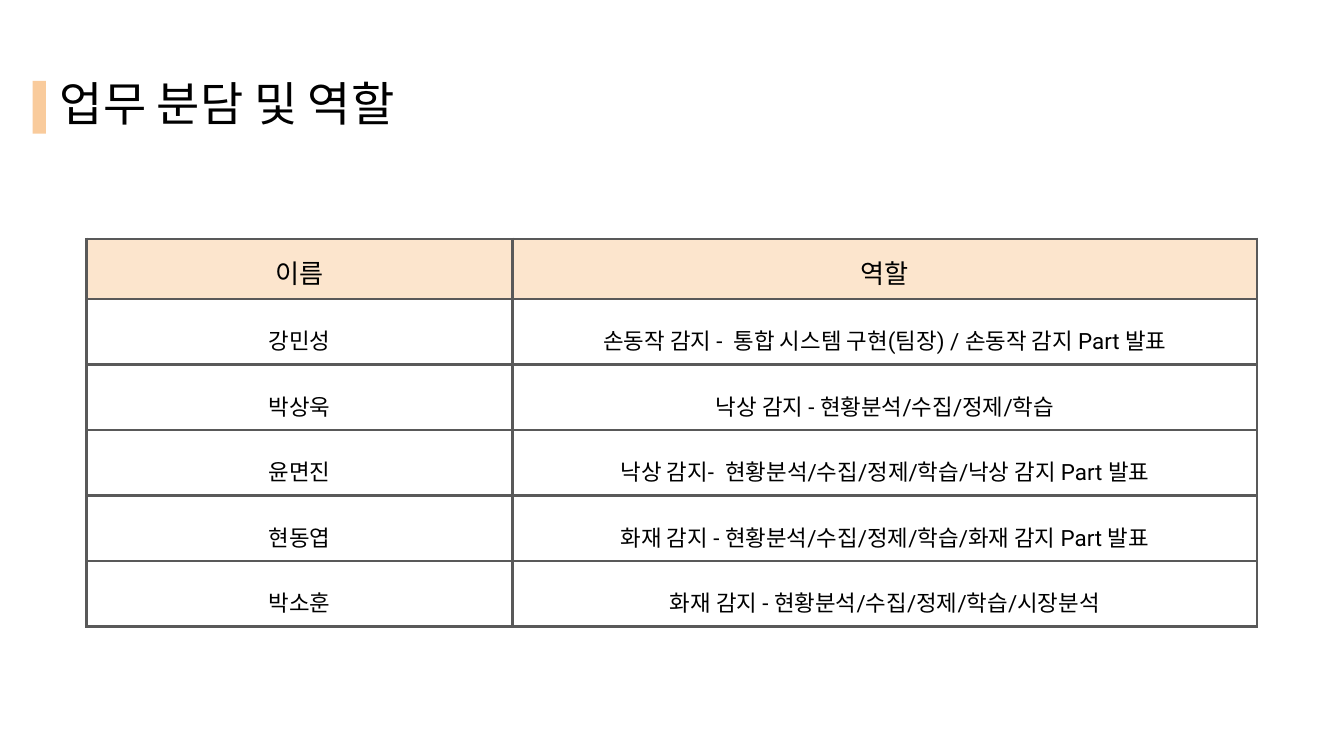
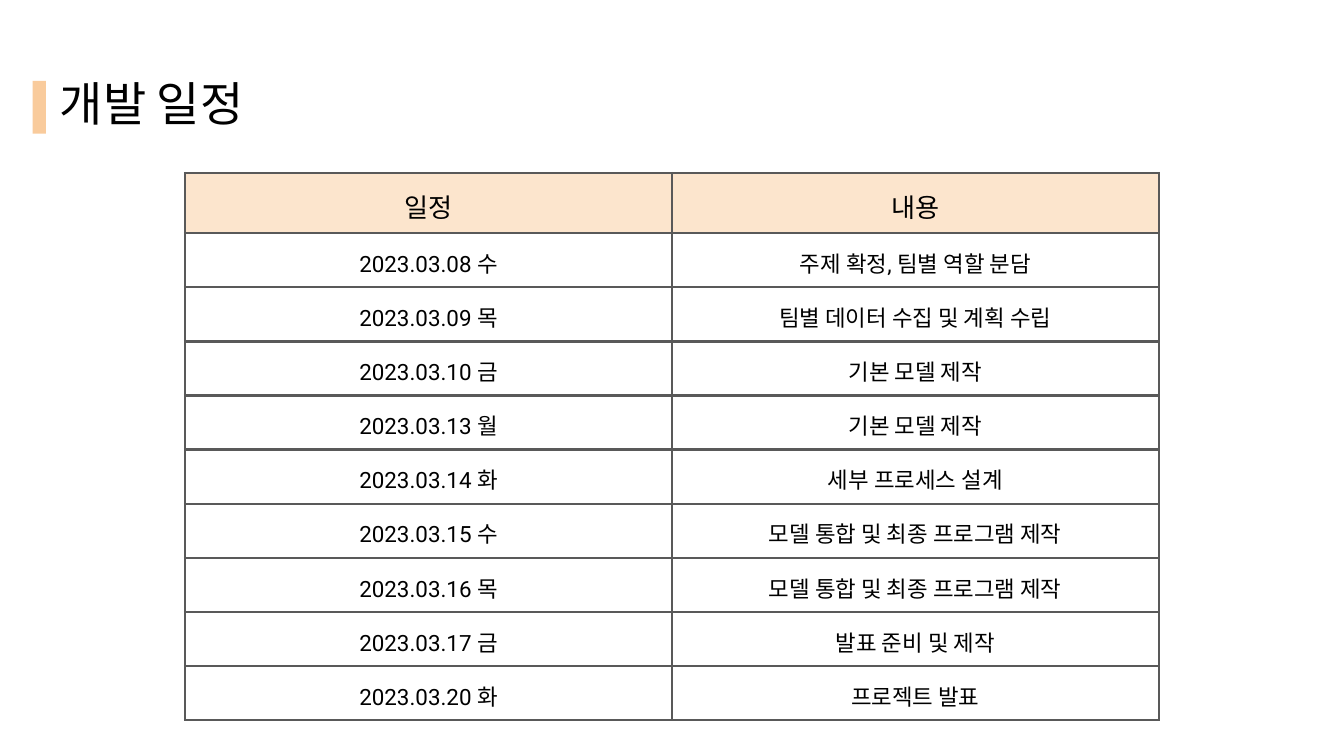
from dataclasses import dataclass

from lxml.etree import SubElement
from pptx import Presentation
from pptx.dml.color import RGBColor
from pptx.enum.shapes import MSO_SHAPE as Shape
from pptx.enum.text import MSO_ANCHOR as Anchor, PP_ALIGN as Align
from pptx.oxml.ns import qn
from pptx.util import Pt


@dataclass(frozen=True)
class Theme:
    font: str = "Roboto"
    ink: str = "000000"
    accent: str = "F9CB9C"
    header_fill: str = "FCE5CD"
    border: str = "595959"
    border_width: float = 1.5
    title_size: float = 25.2
    header_size: float = 14
    body_size: float = 12


class SlideBuilder:
    """Draws titled table slides in one shared theme."""

    def __init__(self, deck, theme):
        self.deck = deck
        self.theme = theme
        self.page = None

    def new_page(self, title):
        self.page = self.deck.slides.add_slide(self.deck.slide_layouts[6])
        self.add_title(title)

    def style_text(self, para, size):
        for span in para.runs:
            span.font.size = Pt(size)
            span.font.name = self.theme.font
            span.font.color.rgb = RGBColor.from_string(self.theme.ink)

    def add_title(self, text):
        box = self.page.shapes.add_textbox(Pt(25), Pt(34), Pt(671), Pt(45.5))
        frame = box.text_frame
        frame.word_wrap = True
        frame.vertical_anchor = Anchor.MIDDLE
        frame.margin_left = frame.margin_right = Pt(7.2)
        frame.margin_top = frame.margin_bottom = Pt(7.2)
        frame.text = text
        frame.paragraphs[0].line_spacing = 0.9
        self.style_text(frame.paragraphs[0], self.theme.title_size)

    def add_title_bar(self):
        bar = self.page.shapes.add_shape(
            Shape.RECTANGLE, Pt(17.5), Pt(43.3), Pt(7.2), Pt(28.3))
        bar.shadow.inherit = False
        bar.fill.solid()
        bar.fill.fore_color.rgb = RGBColor.from_string(self.theme.accent)
        bar.line.fill.background()

    def add_borders(self, cell):
        properties = cell._tc.get_or_add_tcPr()
        for side in ("lnL", "lnR", "lnT", "lnB"):
            line = SubElement(properties, qn(f"a:{side}"),
                              w=str(Pt(self.theme.border_width)))
            fill = SubElement(line, qn("a:solidFill"))
            SubElement(fill, qn("a:srgbClr"), val=self.theme.border)

    def fill_cell(self, cell, text, is_header, anchor, spacing):
        self.add_borders(cell)
        if is_header:
            cell.fill.solid()
            cell.fill.fore_color.rgb = RGBColor.from_string(self.theme.header_fill)
        else:
            cell.fill.background()
        cell.margin_left = cell.margin_right = Pt(10)
        cell.margin_top = cell.margin_bottom = Pt(4.5)
        cell.vertical_anchor = anchor
        cell.text_frame.text = text
        para = cell.text_frame.paragraphs[0]
        para.alignment = Align.CENTER
        para.line_spacing = spacing
        para.space_after = Pt(12)
        self.style_text(
            para, self.theme.header_size if is_header else self.theme.body_size)

    def add_table(self, left, top, widths, header_height, row_height, rows,
                  header_anchor=Anchor.MIDDLE, body_spacing=1.15):
        heights = [header_height] + [row_height] * (len(rows) - 1)
        table = self.page.shapes.add_table(
            len(rows), len(widths), Pt(left), Pt(top),
            Pt(sum(widths)), Pt(sum(heights))).table
        table.first_row = table.horz_banding = False
        for column, width in zip(table.columns, widths):
            column.width = Pt(width)
        for index, (row, height, texts) in enumerate(zip(table.rows, heights, rows)):
            row.height = Pt(height)
            is_header = index == 0
            anchor = header_anchor if is_header else Anchor.MIDDLE
            spacing = 1.15 if is_header else body_spacing
            for cell, text in zip(row.cells, texts):
                self.fill_cell(cell, text, is_header, anchor, spacing)


ROLES = [
    ("이름", "역할"),
    ("강민성", "손동작 감지 -  통합 시스템 구현(팀장) / 손동작 감지 Part 발표"),
    ("박상욱", "낙상 감지 - 현황분석/수집/정제/학습"),
    ("윤면진", "낙상 감지-  현황분석/수집/정제/학습/낙상 감지 Part 발표"),
    ("현동엽", "화재 감지 - 현황분석/수집/정제/학습/화재 감지 Part 발표"),
    ("박소훈", "화재 감지 - 현황분석/수집/정제/학습/시장분석"),
]

SCHEDULE = [
    ("일정", "내용"),
    ("2023.03.08 수", "주제 확정, 팀별 역할 분담"),
    ("2023.03.09 목", "팀별 데이터 수집 및 계획 수립"),
    ("2023.03.10 금", "기본 모델 제작"),
    ("2023.03.13 월", "기본 모델 제작"),
    ("2023.03.14 화", "세부 프로세스 설계"),
    ("2023.03.15 수", "모델 통합 및 최종 프로그램 제작"),
    ("2023.03.16 목", "모델 통합 및 최종 프로그램 제작"),
    ("2023.03.17 금", "발표 준비 및 제작"),
    ("2023.03.20 화", "프로젝트 발표"),
]


def main():
    deck = Presentation()
    deck.slide_width, deck.slide_height = Pt(720), Pt(405)
    builder = SlideBuilder(deck, Theme())

    builder.new_page("업무 분담 및 역할")
    builder.add_table(46.3, 128, (228.3, 399), 32.2, 35.1, ROLES,
                      header_anchor=Anchor.TOP, body_spacing=1.5)
    builder.add_title_bar()

    builder.new_page("개발 일정")
    builder.add_table(99.2, 92.7, (260.8, 260.8), 32.2, 29, SCHEDULE)
    builder.add_title_bar()

    deck.save("out.pptx")


if __name__ == "__main__":
    main()
